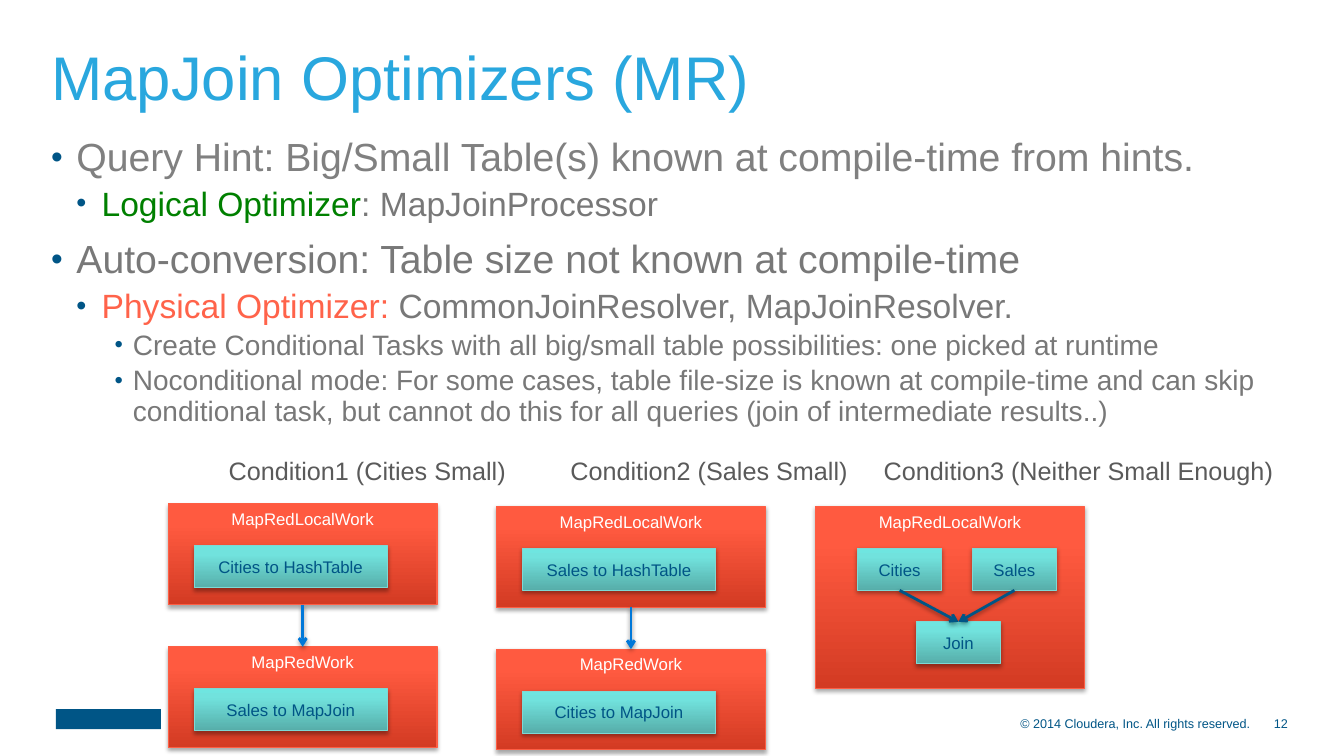
from pptx import Presentation
from pptx import util as u
from pptx.dml.color import RGBColor
from pptx.enum import shapes, text
from pptx.oxml import parse_xml
from pptx.oxml.ns import qn

NS = 'xmlns:a="http://schemas.openxmlformats.org/drawingml/2006/main"'
LEFT, MID, RIGHT = text.PP_ALIGN.LEFT, text.PP_ALIGN.CENTER, text.PP_ALIGN.RIGHT
TOP, CORE, BASE = (text.MSO_ANCHOR.TOP, text.MSO_ANCHOR.MIDDLE,
                   text.MSO_ANCHOR.BOTTOM)
NAVY, BLUE, GREY = "005586", "0078D9", "787878"
RED = ("D33B23", "FF5A40", "FF5B41", "FE5E44")
TEAL = ("57AEAA", "71E2DD", "6FE5E0", "7DD9D5")
BOX_W, BOX_H = 192, 72
TASK_H, TASK_TOP = 30, 30

BODY = [
    (0, [("Query Hint: Big/Small Table(s) known at compile-time from hints.",
          "808080")]),
    (1, [("Logical Optimizer", "008000"), (": MapJoinProcessor", GREY)]),
    (0, [("Auto-conversion: Table size not known at compile-time", GREY)]),
    (1, [("Physical Optimizer: ", "FF634A"),
         ("CommonJoinResolver, MapJoinResolver.", GREY)]),
    (2, [("Create Conditional Tasks with all big/small table possibilities: "
          "one picked at runtime", GREY)]),
    (2, [("Noconditional mode: For some cases, table file-size is known at "
          "compile-time and can skip conditional task, but cannot do this for "
          "all queries (join of intermediate results..)", GREY)]),
]
# size, left margin, hanging indent and space before of each level
LEVELS = [(28, 18, 18, 12), (24, 36, 18, 4.8), (20, 58.3, 13, 4)]


def rgb(code):
    return RGBColor.from_string(code)


def add_run(para, words, size, color):
    run = para.add_run()
    run.text = words
    run.font.name = "Arial"
    run.font.size = u.Pt(size)
    run.font.color.rgb = rgb(color)


def put_text(shape, words, size=12, color=NAVY, align=LEFT, anchor=TOP,
             wrap=True, inset=None, line=None):
    frame = shape.text_frame
    frame.auto_size = text.MSO_AUTO_SIZE.NONE
    frame.word_wrap = wrap
    frame.vertical_anchor = anchor
    if inset is not None:
        frame.margin_left = frame.margin_right = u.Pt(inset)
        frame.margin_top = frame.margin_bottom = u.Pt(inset)
    para = frame.paragraphs[0]
    para.alignment = align
    if line:
        para.line_spacing = line
    add_run(para, words, size, color)


def add_box(slide, x, y, w, h):
    return slide.shapes.add_textbox(u.Pt(x), u.Pt(y), u.Pt(w), u.Pt(h))


def add_shadow(shape, alpha, dist):
    props = shape._element.spPr
    for old in props.findall(qn("a:effectLst")):
        props.remove(old)
    props.append(parse_xml(
        f'<a:effectLst {NS}><a:outerShdw blurRad="40000" dist="{dist}" '
        f'dir="5400000" rotWithShape="0"><a:srgbClr val="000000">'
        f'<a:alpha val="{alpha}000"/></a:srgbClr></a:outerShdw></a:effectLst>'))


def add_panel(slide, x, y, w, h, words, tones, color, anchor):
    """Draw a shaded rectangle; tones are three gradient stops and the line."""
    panel = slide.shapes.add_shape(shapes.MSO_SHAPE.RECTANGLE, u.Pt(x),
                                   u.Pt(y), u.Pt(w), u.Pt(h))
    panel.fill.gradient()
    panel.fill.gradient_angle = 90
    stops = panel._element.spPr.find(qn("a:gradFill")).find(qn("a:gsLst"))
    for stop in list(stops):
        stops.remove(stop)
    for place, tone in zip((0, 80, 100), tones):
        stops.append(parse_xml(f'<a:gs {NS} pos="{place}000">'
                               f'<a:srgbClr val="{tone}"/></a:gs>'))
    panel.line.color.rgb = rgb(tones[3])
    panel.line.width = u.Pt(0.75)
    panel.shadow.inherit = False
    add_shadow(panel, 35, 23000)
    put_text(panel, words, color=color, align=MID, anchor=anchor)


def add_work(slide, x, y, h, words):
    add_panel(slide, x, y, BOX_W, h, words, RED, "FFFFFF", TOP)


def add_task(slide, x, y, w, words):
    add_panel(slide, x, y, w, TASK_H, words, TEAL, NAVY, CORE)


def add_arrow(slide, x1, y1, x2, y2, color):
    arrow = slide.shapes.add_connector(shapes.MSO_CONNECTOR.STRAIGHT,
                                       u.Pt(x1), u.Pt(y1), u.Pt(x2), u.Pt(y2))
    arrow.line.color.rgb = rgb(color)
    arrow.line.width = u.Pt(2)
    arrow.line._get_or_add_ln().append(
        parse_xml(f'<a:tailEnd {NS} type="arrow"/>'))
    add_shadow(arrow, 38, 20000)


def add_footer(slide, x, y, w, h):
    mark = slide.shapes.add_shape(shapes.MSO_SHAPE.RECTANGLE, u.Pt(x),
                                  u.Pt(y - 2), u.Pt(75), u.Pt(14.4))
    mark.fill.solid()
    mark.fill.fore_color.rgb = rgb(NAVY)
    mark.line.fill.background()
    mark.shadow.inherit = False
    end = x + w
    put_text(add_box(slide, end - 27, y, 27, h), "12", size=9, align=RIGHT,
             anchor=CORE, inset=0)
    put_text(add_box(slide, end - 331, y, 304, h),
             "© 2014 Cloudera, Inc. All rights reserved.", size=9,
             align=RIGHT, anchor=CORE, inset=0)


def add_title(slide, x, y, w, h):
    title = slide.shapes.title
    title.left, title.top = u.Pt(x), u.Pt(y)
    title.width, title.height = u.Pt(w), u.Pt(h)
    put_text(title, "MapJoin Optimizers (MR)", size=44, color="29A7DE",
             anchor=BASE)


def add_body(slide, x, y, w, h):
    frame = add_box(slide, x, y, w, h).text_frame
    frame.word_wrap = True
    for i, (level, runs) in enumerate(BODY):
        size, margin, hang, gap = LEVELS[level]
        para = frame.add_paragraph() if i else frame.paragraphs[0]
        props = para._p.get_or_add_pPr()
        props.set("marL", str(u.Pt(margin)))
        props.set("indent", str(-u.Pt(hang)))
        for bullet in (f'<a:buClr {NS}><a:srgbClr val="{NAVY}"/></a:buClr>',
                       f'<a:buSzPct {NS} val="85000"/>',
                       f'<a:buFont {NS} typeface="Arial"/>',
                       f'<a:buChar {NS} char="•"/>'):
            props.append(parse_xml(bullet))
        para.level = level
        para.line_spacing = 0.9
        para.space_before = u.Pt(gap if i else 0)
        for words, color in runs:
            add_run(para, words, size, color)


def add_label(slide, x, y, w, words):
    put_text(add_box(slide, x, y, w, 27), words, size=18, color="5A5A5A",
             wrap=False, line=0.9)


def add_chain(slide, x, y, first, second):
    """Stack a local work above a map-reduce work, joined by an arrow."""
    step = 102
    for top, head, task in ((y, "MapRedLocalWork", first),
                            (y + step, "MapRedWork", second)):
        add_work(slide, x, top, BOX_H, head)
        add_task(slide, x + 18.5, top + TASK_TOP, 138, task)
    mid = x + BOX_W / 2
    add_arrow(slide, mid, y + BOX_H, mid, y + step, BLUE)


def add_merge(slide, x, y):
    """Draw two tables that flow into one join."""
    wide, join_x, join_y = 60, x + 72, y + 82.5
    add_work(slide, x, y, 130, "MapRedLocalWork")
    tables = (("Cities", x + 30), ("Sales", x + 112))
    for name, left in tables:
        add_task(slide, left, y + TASK_TOP, wide, name)
    add_task(slide, join_x, join_y, wide, "Join")
    for name, left in tables:
        add_arrow(slide, left + wide / 2, y + TASK_TOP + TASK_H,
                  join_x + wide / 2, join_y, NAVY)


def main():
    deck = Presentation()
    deck.slide_width, deck.slide_height = u.Pt(960), u.Pt(540)
    slide = deck.slides.add_slide(deck.slide_layouts[5])
    add_footer(slide, 40, 508.5, 880, 16)
    add_title(slide, 29.5, 21.6, 890.5, 62.6)
    add_body(slide, 29.5, 95, 890.5, 391)
    add_chain(slide, 120.2, 360, "Cities to HashTable", "Sales to MapJoin")
    add_chain(slide, 354.7, 361.7, "Sales to HashTable", "Cities to MapJoin")
    add_merge(slide, 582.6, 361.7)
    add_label(slide, 156.2, 324, 214.5, "Condition1 (Cities Small)")
    add_label(slide, 400.3, 324, 214.5, "Condition2 (Sales Small)")
    add_label(slide, 624.2, 324, 295.2, "Condition3 (Neither Small Enough)")
    deck.save("out.pptx")


if __name__ == "__main__":
    main()
